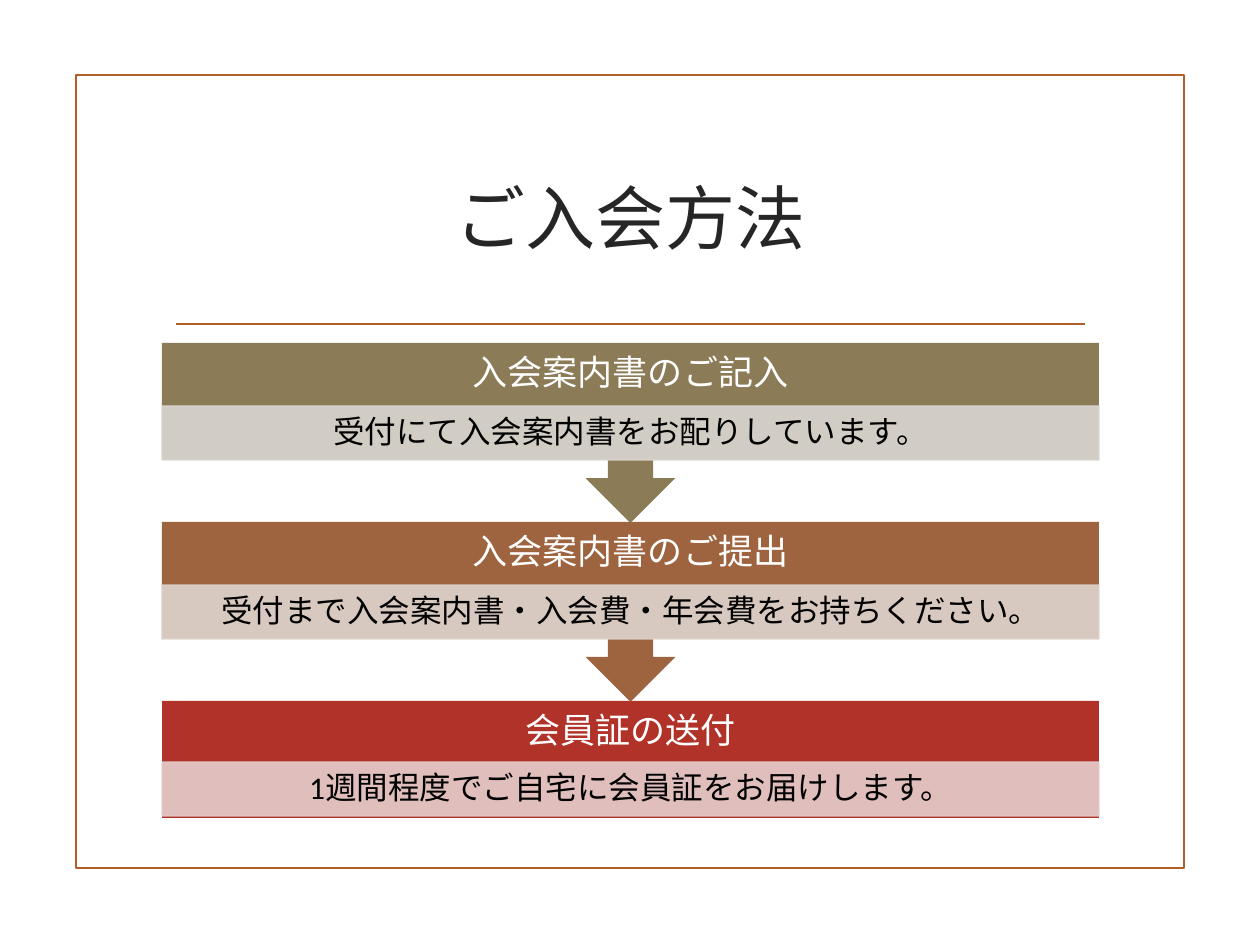
from dataclasses import dataclass

from lxml.etree import SubElement
from pptx import Presentation
from pptx.dml.color import RGBColor
from pptx.enum.shapes import MSO_CONNECTOR as Link, MSO_SHAPE as Kind
from pptx.enum.text import MSO_ANCHOR as Anchor, PP_ALIGN as Align
from pptx.oxml.ns import qn
from pptx.util import Emu, Pt

SCALE = 914400 / 126  # EMU in one px
FONT = "Calibri"

WHITE = RGBColor(0xFF, 0xFF, 0xFF)
BLACK = RGBColor(0x00, 0x00, 0x00)
INK = RGBColor(0x26, 0x26, 0x26)
RUST = RGBColor(0xB1, 0x5E, 0x28)
OLIVE = RGBColor(0x8B, 0x7B, 0x56)
SAND = RGBColor(0xDA, 0xD7, 0xD1)
BROWN = RGBColor(0x9E, 0x64, 0x3F)
BEIGE = RGBColor(0xDF, 0xD4, 0xCF)
RED = RGBColor(0xB1, 0x32, 0x28)
PINK = RGBColor(0xE4, 0xCE, 0xCD)

# Step grid, in px
LEFT, TOP, WIDTH = 162, 343, 937
PITCH, CALL, LAST = 179, 180, 117
HEAD, BAND = 63, 54


@dataclass
class Box:
    x: int
    y: int
    w: int
    h: int

    def emu(self) -> list[Emu]:
        return [px(n) for n in (self.x, self.y, self.w, self.h)]


@dataclass
class Step:
    head: str
    body: str
    dark: RGBColor
    pale: RGBColor


STEPS = [
    Step("入会案内書のご記入", "受付にて入会案内書をお配りしています。", OLIVE, SAND),
    Step("入会案内書のご提出", "受付まで入会案内書・入会費・年会費をお持ちください。", BROWN, BEIGE),
    Step("会員証の送付", "1週間程度でご自宅に会員証をお届けします。", RED, PINK),
]


def px(n: int) -> Emu:
    return Emu(round(n * SCALE))


def write(shape, text: str, size: int, color: RGBColor,
          side: int, edge: int, gap: float = 1.0) -> None:
    """Put one centred line of text into a shape."""
    frame = shape.text_frame
    frame.word_wrap = True
    frame.vertical_anchor = Anchor.MIDDLE
    frame.margin_left = frame.margin_right = px(side)
    frame.margin_top = frame.margin_bottom = px(edge)
    para = frame.paragraphs[0]
    para.alignment = Align.CENTER
    para.line_spacing = gap
    run = para.add_run()
    run.text = text
    font = run.font
    font.name, font.size = FONT, Pt(size)
    font.color.rgb = color
    SubElement(font._element, qn("a:ea")).set("typeface", FONT)


def block(slide, kind: Kind, box: Box, color: RGBColor):
    """Add a plain filled shape without an outline."""
    shape = slide.shapes.add_shape(kind, *box.emu())
    shape.shadow.inherit = False
    shape.fill.solid()
    shape.fill.fore_color.rgb = color
    shape.line.fill.background()
    return shape


def fade(shape, color: RGBColor) -> None:
    """Outline a shape and make its fill and line 90 % opaque."""
    shape.line.color.rgb = color
    shape.line.width = Pt(0.75)
    for tone in shape._element.spPr.iter(qn("a:srgbClr")):
        SubElement(tone, qn("a:alpha")).set("val", "90000")


def draw(slide, step: Step, top: int, last: bool) -> None:
    """Draw one step: backing shape, heading and pale band."""
    if last:
        block(slide, Kind.RECTANGLE, Box(LEFT, top, WIDTH, LAST), step.dark)
    else:
        back = block(slide, Kind.UP_ARROW_CALLOUT,
                     Box(LEFT, top, WIDTH, CALL), step.dark)
        back.rotation = 180

    head = slide.shapes.add_textbox(*Box(LEFT, top, WIDTH, HEAD).emu())
    write(head, step.head, 20, WHITE, 20, 20, 0.9)

    # The last step has no arrow, so its band sits a little higher
    y = top + HEAD - (2 if last else 0)
    band = block(slide, Kind.RECTANGLE, Box(LEFT, y, WIDTH, BAND), step.pale)
    fade(band, step.pale)
    write(band, step.body, 18, BLACK, 18, 4, 0.9)


def main() -> None:
    deck = Presentation()
    deck.slide_width, deck.slide_height = px(1260), px(945)
    slide = deck.slides.add_slide(deck.slide_layouts[6])

    # Page frame
    frame = block(slide, Kind.RECTANGLE, Box(76, 75, 1108, 793), WHITE)
    frame.fill.background()
    frame.line.color.rgb = RUST
    frame.line.width = Pt(1.25)

    # Title and rule
    title = slide.shapes.add_textbox(*Box(LEFT, 126, WIDTH, 180).emu())
    write(title, "ご入会方法", 40, INK, 12, 6)
    rule = slide.shapes.add_connector(
        Link.STRAIGHT, px(176), px(324), px(1085), px(324))
    rule.line.color.rgb = RUST
    rule.line.width = Pt(1.25)
    SubElement(rule._element.spPr, qn("a:effectLst"))

    # Steps from the bottom up, so each arrow lies over the next step
    final = len(STEPS) - 1
    for i, step in reversed(list(enumerate(STEPS))):
        draw(slide, step, TOP + i * PITCH, i == final)

    deck.save("out.pptx")


if __name__ == "__main__":
    main()
